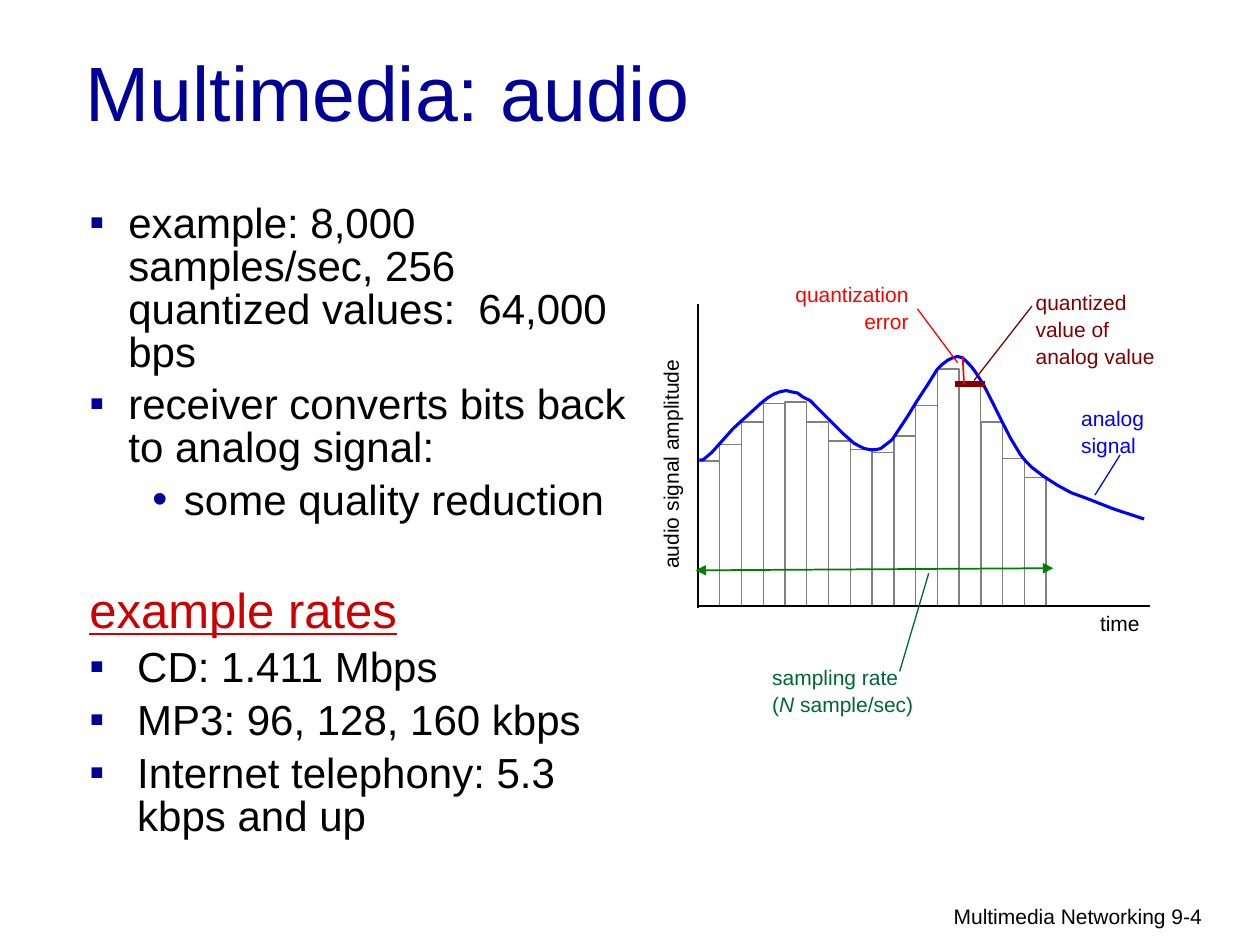
from collections import namedtuple

from lxml.etree import SubElement
from pptx import Presentation
from pptx.dml.color import RGBColor
from pptx.enum.shapes import MSO_CONNECTOR, MSO_SHAPE
from pptx.enum.text import MSO_ANCHOR, MSO_AUTO_SIZE, PP_ALIGN
from pptx.oxml.ns import qn
from pptx.util import Pt

Box = namedtuple("Box", "left top width height")


class Theme:
    """Colours and type sizes of the slide."""
    font = "Arial"
    navy, red, black = "000099", "CC0000", "000000"
    wave, error, quantized = "0000FF", "FF0000", "800000"
    sampling, span, sample = "006633", "008000", "808080"
    title, heading, body, label = 44, 28, 24, 12


BULLETED = {"bullet": "▪", "left": 23, "hang": 22.3}
TIGHT = {"line_spacing": Pt(24.5)}
RATE = {"bullet": "▪", "left": 28, "hang": 27.3, "space_before": Pt(1.4)}

FACTS = [
    ("example: 8,000 samples/sec, 256 quantized values:\t64,000 bps",
     {**BULLETED, **TIGHT, "tab": 223, "space_before": Pt(0)}),
    ("receiver converts bits back to analog signal:",
     {**BULLETED, **TIGHT, "space_before": Pt(5.7)}),
    ("some quality reduction",
     {"bullet": "•", "left": 54.7, "hang": 18, "level": 1, "space_before": Pt(1.4)}),
]
RATES = [
    ("example rates", {"left": 0.7, "space_before": Pt(0), "size": Theme.heading,
                       "color": Theme.red, "underline": True}),
    ("CD: 1.411 Mbps", RATE),
    ("MP3: 96, 128, 160 kbps", RATE),
    ("Internet telephony: 5.3 kbps and up", {**RATE, **TIGHT, "space_before": Pt(5.8)}),
]

SAMPLE_TOPS = [90, 80.6, 67.7, 56.9, 56.2, 67.7, 78.5, 83.5,
               85, 75.6, 58.3, 37.4, 46.8, 67.7, 88.6, 99.4]
WAVE = [
    (0.7, 89.3), (2.9, 89.3), (7.9, 85), (20.2, 71.3), (28.1, 64.1), (36, 56.9),
    (39.6, 54), (43.2, 51.8), (46.8, 50.4), (50.4, 49.7), (53.3, 50.4), (56.9, 51.1),
    (59.8, 53.3), (64.1, 55.4), (69.8, 61.2), (76.3, 67.7), (82.8, 74.2), (89.3, 79.9),
    (92.2, 81.4), (95, 82.8), (98.6, 83.5), (101.5, 83.5), (104.4, 82.8), (107.3, 80.6),
    (110.9, 77.8), (113.8, 73.4), (119.5, 64.8), (125.3, 55.4), (131.8, 45.4),
    (136.8, 37.4), (139.7, 34.6), (142.6, 32.4), (145.4, 31), (148.3, 30.2),
    (151.2, 31), (153.4, 33.1), (156.2, 36), (158.4, 38.9), (163.4, 46.8),
    (168.5, 56.9), (173.5, 67), (178.6, 77), (184.3, 86.4), (187.2, 90),
    (190.8, 93.6), (197.3, 98.6), (205.2, 103.7), (213.1, 108), (221, 110.9),
    (237.6, 117.4), (254.9, 123.1),
]
BASELINE = 172.8
LINES = [
    ((0, 0), (0, 174.2), Theme.black, 0.75),
    ((0, BASELINE), (258.5, BASELINE), Theme.black, 0.75),
    ((241.2, 86.4), (226.8, 109.4), Theme.wave, 0.75),
    ((146.9, 46.1), (163.8, 46.1), Theme.quantized, 3.6),
    ((190.8, 1.4), (157.7, 43.9), Theme.quantized, 0.75),
    ((151.2, 30.2), (152, 46.1), Theme.error, 1),
    ((125.3, 2.9), (148.3, 33.8), Theme.error, 0.75),
    ((115.2, 210.2), (131.8, 154.1), Theme.sampling, 0.75),
]
LABELS = [
    (Box(229.7, 175.5, 28, 16), [["time"]], Theme.black, PP_ALIGN.LEFT),
    (Box(218.9, 58, 42, 32), [["analog"], ["signal"]], Theme.wave, PP_ALIGN.LEFT),
    (Box(192.9, -8.2, 76, 46), [["quantized"], ["value of"], ["analog value"]],
     Theme.quantized, PP_ALIGN.LEFT),
    (Box(46.3, -12.5, 74, 32), [["quantization"], ["error"]], Theme.error, PP_ALIGN.RIGHT),
    (Box(42.4, 206.3, 88, 32), [["sampling rate"], ["(", "N", " sample/sec)"]],
     Theme.sampling, PP_ALIGN.LEFT),
]


def set_values(target, values):
    """Set every attribute of target named in values."""
    for name, value in values.items():
        setattr(target, name, value)


def style_run(run, size, color, **extra):
    """Give a run its font, size, colour and extra font values."""
    set_values(run.font, {"name": Theme.font, "size": Pt(size), **extra})
    run.font.color.rgb = RGBColor.from_string(color)


def prepare_frame(shape, box, inset=0):
    """Place a text shape and reset its frame."""
    set_values(shape, {name: Pt(value) for name, value in box._asdict().items()})
    set_values(shape.text_frame, {
        "margin_left": 0, "margin_right": 0, "margin_bottom": 0, "margin_top": Pt(inset),
        "word_wrap": True, "auto_size": MSO_AUTO_SIZE.NONE, "vertical_anchor": MSO_ANCHOR.TOP})
    return shape.text_frame


def add_bullet(paragraph, bullet, left, hang, tab):
    """Set the indents, bullet and tab stop of a paragraph."""
    properties = paragraph._p.get_or_add_pPr()
    properties.set("marL", str(Pt(left)))
    properties.set("indent", str(-Pt(hang)))
    if bullet:
        tint = SubElement(properties, qn("a:buClr"))
        SubElement(tint, qn("a:srgbClr"), val=Theme.navy)
        SubElement(properties, qn("a:buSzPct"), val="102000")
        SubElement(properties, qn("a:buFont"), typeface=Theme.font)
        SubElement(properties, qn("a:buChar"), char=bullet)
    else:
        SubElement(properties, qn("a:buNone"))
    if tab:
        stops = SubElement(properties, qn("a:tabLst"))
        SubElement(stops, qn("a:tab"), pos=str(Pt(tab)), algn="l")


def fill_title(placeholder, box):
    """Write the slide title."""
    heading = prepare_frame(placeholder, box, 0.7).paragraphs[0]
    heading.alignment = PP_ALIGN.LEFT
    run = heading.add_run()
    run.text = "Multimedia: audio"
    style_run(run, Theme.title, Theme.navy)


def fill_list(placeholder, box, inset, items):
    """Write a bulleted list into a body placeholder."""
    frame = prepare_frame(placeholder, box, inset)
    for index, (wording, item) in enumerate(items):
        values = dict(item)
        paragraph = frame.add_paragraph() if index else frame.paragraphs[0]
        add_bullet(paragraph, values.pop("bullet", None), values.pop("left"),
                   values.pop("hang", 0), values.pop("tab", None))
        run = paragraph.add_run()
        run.text = wording
        style_run(run, values.pop("size", Theme.body), values.pop("color", Theme.black),
                  underline=values.pop("underline", False))
        set_values(paragraph, values)


def add_label(slide, box, lines, color, align=PP_ALIGN.LEFT):
    """Add a small caption of one or more lines, with N in italics."""
    caption = slide.shapes.add_textbox(0, 0, 0, 0)
    frame = prepare_frame(caption, box)
    for index, parts in enumerate(lines):
        paragraph = frame.add_paragraph() if index else frame.paragraphs[0]
        set_values(paragraph, {"alignment": align, "space_before": Pt(1 if index else 0)})
        for part in parts:
            run = paragraph.add_run()
            run.text = part
            style_run(run, Theme.label, color, italic=part == "N")
    return frame


def add_line(slide, box, start, end, color, width):
    """Add a straight line between two points of the box."""
    ends = [Pt(origin + offset) for point in (start, end)
            for origin, offset in zip(box[:2], point)]
    line = slide.shapes.add_connector(MSO_CONNECTOR.STRAIGHT, *ends)
    line.line.color.rgb = RGBColor.from_string(color)
    line.line.width = Pt(width)
    SubElement(line._element.spPr, qn("a:effectLst"))
    return line


def outline(shape, color, width):
    """Leave a shape unfilled with a plain outline."""
    shape.shadow.inherit = False
    shape.fill.background()
    shape.line.color.rgb = RGBColor.from_string(color)
    shape.line.width = Pt(width)


def draw_signal(slide, box):
    """Draw the sampled audio signal with its axes and captions."""
    step = 12.43
    for index, top in enumerate(SAMPLE_TOPS):
        sample = slide.shapes.add_shape(
            MSO_SHAPE.RECTANGLE, Pt(box.left + index * step), Pt(box.top + top),
            Pt(step), Pt(BASELINE - top))
        outline(sample, Theme.sample, 0.75)

    points = [(Pt(box.left + x), Pt(box.top + y)) for x, y in WAVE]
    builder = slide.shapes.build_freeform(*points[0])
    builder.add_line_segments(points[1:], close=False)
    outline(builder.convert_to_shape(), Theme.wave, 1.75)

    for line in LINES:
        add_line(slide, box, *line)
    span = add_line(slide, box, (-1.4, 152.4), (203, 151.2), Theme.span, 1)
    for end in ("a:headEnd", "a:tailEnd"):
        SubElement(span.line._get_or_add_ln(), qn(end), type="triangle")

    for area, lines, color, align in LABELS:
        place = area._replace(left=box.left + area.left, top=box.top + area.top)
        add_label(slide, place, lines, color, align)
    axis = add_label(slide, Box(box.left - 23, box.top + 27.5, 15, 124),
                     [["audio signal amplitude"]], Theme.black)
    axis._txBody.bodyPr.set("vert", "vert270")


def main():
    """Build and save the slide."""
    deck = Presentation()
    set_values(deck, {"slide_width": Pt(720), "slide_height": Pt(540)})
    slide = deck.slides.add_slide(deck.slide_layouts[3])
    title, facts, rates = list(slide.placeholders)[:3]
    fill_title(title, Box(49, 24.5, 400, 54.7))
    fill_list(facts, Box(50.4, 111.6, 312, 189), 5, FACTS)
    fill_list(rates, Box(50.4, 330.5, 284, 150), 0.7, RATES)
    draw_signal(slide, Box(398.9, 173.5, 258.5, 174.2))
    add_label(slide, Box(545, 516.5, 150, 16), [["Multimedia Networking 9-4"]], Theme.black)
    deck.save("out.pptx")


if __name__ == "__main__":
    main()
